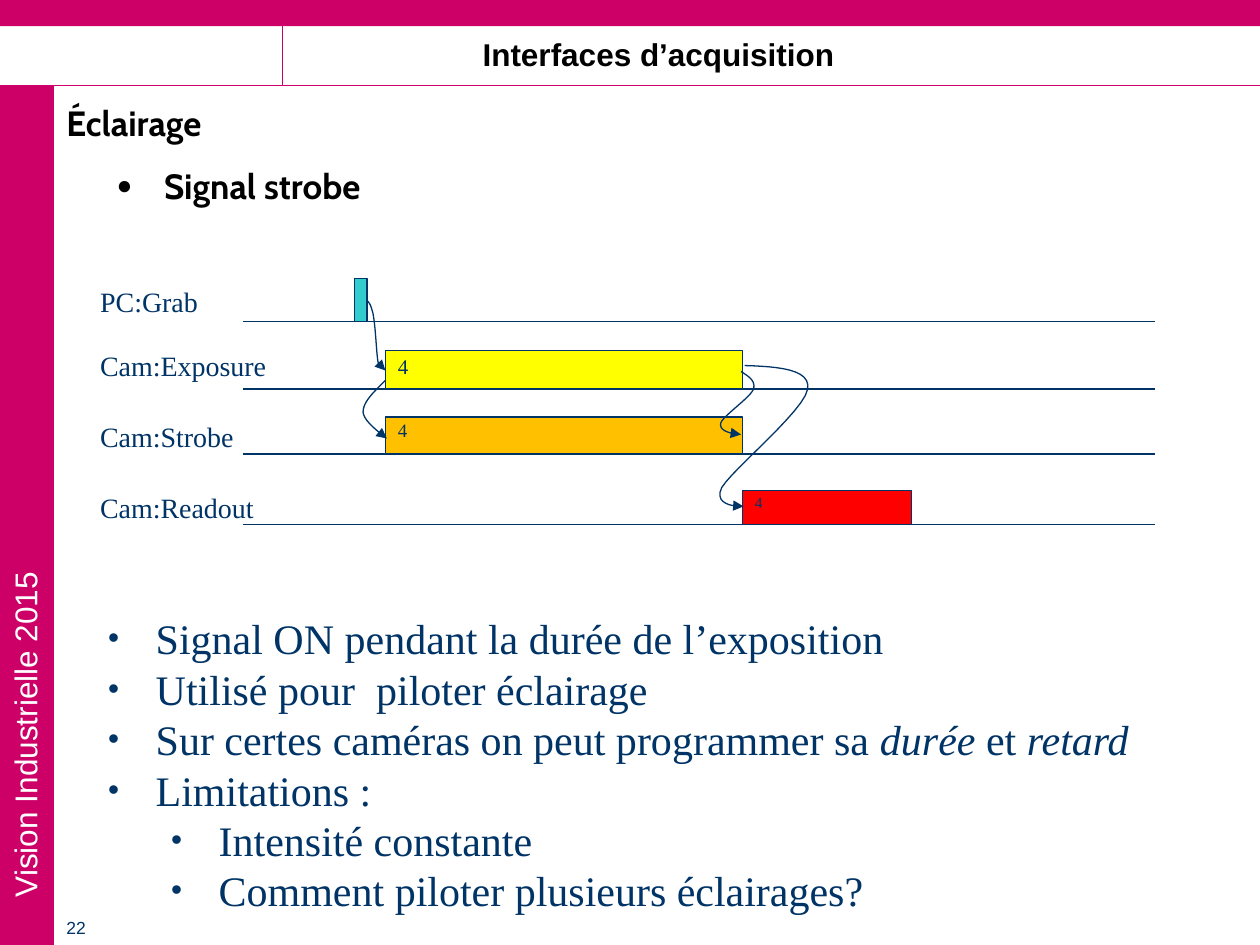
from lxml import etree
from pptx import Presentation
from pptx import util as u
from pptx.dml import color
from pptx.enum import shapes, text
from pptx.oxml import ns

PINK, NAVY, BLACK, WHITE = "CC0066", "003366", "000000", "FFFFFF"
SERIF, SANS, CABIN = "Times New Roman", "Arial", "Cabin"
WIDE, TALL = 25.4, 19.05
SIDE, HEAD = 1.09, 1.73   # side band width, header height
LEFT, RIGHT = 4.9, 23.29  # ends of the time lines

# words, box (cm), size, font, colour, bold
HEADER = [
    ("Interfaces d’acquisition", (5.87, 0.58, 14.81, 1.02), 18, SANS, BLACK, True),
    ("22", (SIDE, 18.36, 1.19, 0.69), 10, SANS, NAVY, False),
]
TITLE = ("Éclairage", (SIDE, 1.93, 24, 1.19), 20, CABIN, BLACK, True)
TOPIC = ("Signal strobe", (2.1, 3.2, 23.01, 1.2), 20, CABIN, BLACK, True)
BAND = ("Vision Industrielle 2015", (-4.7, 12.62, 10.41, 1.02), 18, SANS, WHITE, False)

# label, label top and width, line height on slide,
# bar (left, width, height), fill, words, size, line spacing
ROWS = [
    ("PC:Grab", 5.61, 2.9, 6.48, (7.15, 0.25, 0.86), "33CCCC", "", 12, 0.9),
    ("Cam:Exposure", 6.91, 4.1, 7.84, (7.77, 7.2, 0.77), "FFFF00", "4", 11.9, 0.9),
    ("Cam:Strobe", 8.33, 3.4, 9.15, (7.77, 7.2, 0.74), "FFC000", "4", 10.8, 0.8),
    ("Cam:Readout", 9.76, 3.8, 10.57, (14.97, 3.4, 0.68), "FF0000", "4", 8.8, 0.8),
]

# start point, then three points for each Bézier span
CURVES = [
    [(7.39, 6.05), (7.44, 6.1), (7.47, 6.12), (7.52, 6.32), (7.57, 6.55),
     (7.59, 7.11), (7.62, 7.29), (7.67, 7.47), (7.75, 7.44), (7.77, 7.47)],
    [(7.77, 7.67), (7.54, 7.9), (7.32, 8.1), (7.32, 8.31), (7.34, 8.48),
     (7.57, 8.66), (7.8, 8.84)],
    [(14.94, 7.49), (15.09, 7.59), (15.24, 7.67), (15.19, 7.85), (15.11, 8.03),
     (14.58, 8.38), (14.53, 8.53), (14.5, 8.69), (14.71, 8.74), (14.94, 8.76)],
    [(15.01, 7.37), (15.67, 7.39), (16.36, 7.44), (16.28, 7.85), (16.21, 8.28),
     (14.78, 9.45), (14.55, 9.83), (14.35, 10.24), (14.99, 10.21), (14.99, 10.21)],
]

# level, runs (words, italic)
POINTS = [
    (0, [("Signal ON pendant la durée de l’exposition", False)]),
    (0, [("Utilisé pour  piloter éclairage", False)]),
    (0, [("Sur certes caméras on peut programmer sa ", False), ("durée", True),
         (" et ", False), ("retard", True)]),
    (0, [("Limitations :", False)]),
    (1, [("Intensité constante", False)]),
    (1, [("Comment piloter plusieurs éclairages?", False)]),
]


def rgb(code):
    return color.RGBColor.from_string(code)


def style(para, size, font, ink, bold=False):
    para.font.size, para.font.name, para.font.bold = u.Pt(size), font, bold
    para.font.color.rgb = rgb(ink)


def bullet(para, mark, ink, level=0):
    """Add a hanging bullet; call before the font is set."""
    prop = para._p.get_or_add_pPr()
    prop.set("marL", str(u.Cm(0.96 + 1.27 * level)))
    prop.set("indent", str(-u.Cm(0.96)))
    tint = etree.SubElement(prop, ns.qn("a:buClr"))
    etree.SubElement(tint, ns.qn("a:srgbClr"), val=ink)
    etree.SubElement(prop, ns.qn("a:buSzPct"), val="75000")
    etree.SubElement(prop, ns.qn("a:buFont"), typeface=SANS)
    etree.SubElement(prop, ns.qn("a:buChar"), char=mark)


def frame(slide, box, wrap=True):
    shape = slide.shapes.add_textbox(*map(u.Cm, box))
    shape.text_frame.word_wrap = wrap
    return shape


def write(slide, words, box, size, font, ink, bold=False, wrap=True, mark=None):
    shape = frame(slide, box, wrap)
    para = shape.text_frame.paragraphs[0]
    para.text = words
    if mark:
        bullet(para, mark, ink)
    style(para, size, font, ink, bold)
    return shape


def rect(slide, box, fill, edge=None):
    shape = slide.shapes.add_shape(shapes.MSO_SHAPE.RECTANGLE, *map(u.Cm, box))
    shape.shadow.inherit = False
    shape.fill.solid()
    shape.fill.fore_color.rgb = rgb(fill)
    if edge:
        pen(shape, edge)
    else:
        shape.line.fill.background()
    return shape


def pen(shape, ink):
    shape.line.color.rgb = rgb(ink)
    shape.line.width = u.Pt(0.75)


def line(slide, start, end, ink):
    kind = shapes.MSO_CONNECTOR.STRAIGHT
    link = slide.shapes.add_connector(kind, *map(u.Cm, start + end))
    pen(link, ink)
    etree.SubElement(link._element.spPr, ns.qn("a:effectLst"))


def trace(knots, steps=12):
    """Return points along a chain of cubic Bézier spans."""
    spots = [knots[0]]
    for i in range(0, len(knots) - 1, 3):
        span = knots[i:i + 4]
        for n in range(1, steps + 1):
            t = n / steps
            parts = ((1 - t) ** 3, 3 * t * (1 - t) ** 2, 3 * t * t * (1 - t), t ** 3)
            spots.append(tuple(sum(k * p[a] for k, p in zip(parts, span))
                               for a in (0, 1)))
    return [(u.Cm(x), u.Cm(y)) for x, y in spots]


def arrow(slide, knots):
    first, *rest = trace(knots)
    pencil = slide.shapes.build_freeform(*first)
    pencil.add_line_segments(rest, close=False)
    shape = pencil.convert_to_shape()
    shape.shadow.inherit = False
    shape.fill.background()
    pen(shape, NAVY)
    edge = shape._element.spPr.find(ns.qn("a:ln"))
    etree.SubElement(edge, ns.qn("a:tailEnd"), type="triangle")


def row(slide, label, top, width, base, bar, fill, words, size, gap):
    line(slide, (LEFT, base), (RIGHT, base), NAVY)
    write(slide, label, (1.77, top, width, 0.94), 16, SERIF, NAVY, wrap=False)
    left, wide, high = bar
    block = rect(slide, (left, base - high, wide, high), fill, NAVY)
    if words:
        block.text_frame.vertical_anchor = text.MSO_ANCHOR.TOP
        para = block.text_frame.paragraphs[0]
        para.text, para.line_spacing = words, gap
        para.alignment = text.PP_ALIGN.LEFT
        style(para, size, SERIF, NAVY)


def notes(slide):
    body = frame(slide, (1.93, 12.23, 21.56, 6.35)).text_frame
    for i, (level, runs) in enumerate(POINTS):
        para = body.add_paragraph() if i else body.paragraphs[0]
        para.level = level
        bullet(para, "•", NAVY, level)
        style(para, 24, SERIF, NAVY)
        for words, slant in runs:
            run = para.add_run()
            run.text = words
            if slant:
                run.font.italic = True


def main():
    deck = Presentation()
    deck.slide_width, deck.slide_height = u.Cm(WIDE), u.Cm(TALL)
    slide = deck.slides.add_slide(deck.slide_layouts[6])

    rect(slide, (0, HEAD, SIDE, TALL - HEAD), PINK)
    rect(slide, (0, 0, WIDE, 0.53), PINK)
    line(slide, (0, HEAD), (WIDE, HEAD), PINK)
    line(slide, (5.69, HEAD), (5.69, 0), PINK)
    write(slide, *BAND).rotation = 270
    name, page = [write(slide, *item) for item in HEADER]
    name.text_frame.paragraphs[0].alignment = text.PP_ALIGN.CENTER
    head = write(slide, *TITLE).text_frame
    head.vertical_anchor = text.MSO_ANCHOR.MIDDLE
    head.paragraphs[0].line_spacing = 0.9
    write(slide, *TOPIC, mark="●")

    for item in ROWS:
        row(slide, *item)
    for knots in CURVES:
        arrow(slide, knots)
    notes(slide)
    deck.save("out.pptx")


if __name__ == "__main__":
    main()
